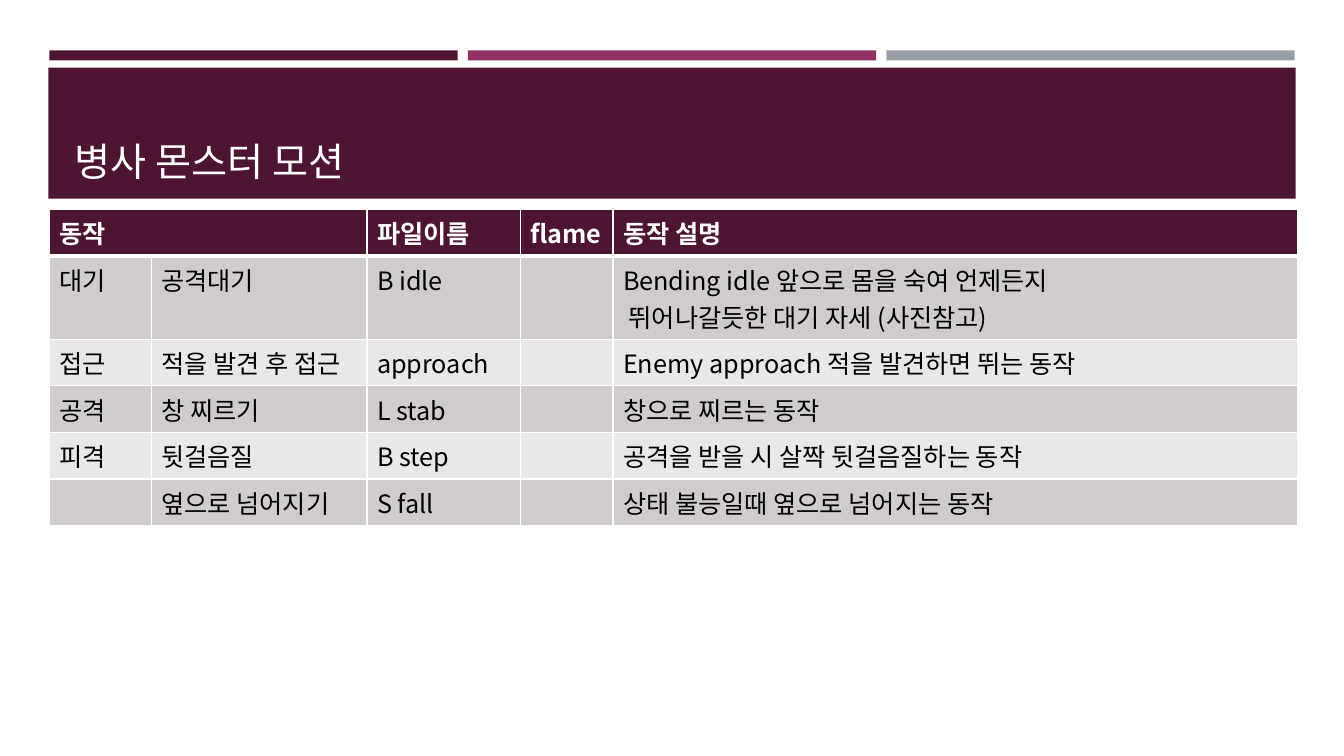
from lxml import etree
from pptx import Presentation
from pptx.dml.color import RGBColor
from pptx.enum import shapes, text
from pptx.oxml.ns import qn
from pptx.util import Inches, Pt

FONT = "Noto Sans CJK KR"
PLUM, MAGENTA, GRAY = "4D1434", "903163", "969FA7"
WHITE, BLACK = "FFFFFF", "000000"
BANDS = ["D0CCCE", "E9E7E8"]

COLUMN_WIDTHS = [1.01, 2.14, 1.52, 0.92, 6.79]
ROW_HEIGHTS = [0.46, 0.82, 0.46, 0.46, 0.46, 0.46]
MOTIONS = [
    ["동작", "", "파일이름", "flame", "동작 설명"],
    ["대기", "공격대기", "B idle", "",
     "Bending idle 앞으로 몸을 숙여 언제든지\n 뛰어나갈듯한 대기 자세 (사진참고)"],
    ["접근", "적을 발견 후 접근", "approach", "", "Enemy approach 적을 발견하면 뛰는 동작"],
    ["공격", "창 찌르기", "L stab", "", "창으로 찌르는 동작"],
    ["피격", "뒷걸음질", "B step", "", "공격을 받을 시 살짝 뒷걸음질하는 동작"],
    ["", "옆으로 넘어지기", "S fall", "", "상태 불능일때 옆으로 넘어지는 동작"],
]


def paint(color_format, color):
    color_format.rgb = RGBColor.from_string(color)


def add_run(p, words, size, color, bold=False):
    r = p.add_run()
    r.text = words
    r.font.size, r.font.bold, r.font.name = Pt(size), bold, FONT
    paint(r.font.color, color)
    etree.SubElement(r.font._element, qn("a:ea"), typeface=FONT)


def add_bar(s, left, top, width, height, color):
    sp = s.shapes.add_shape(shapes.MSO_SHAPE.RECTANGLE, Inches(left), Inches(top),
                            Inches(width), Inches(height))
    sp.shadow.inherit = False
    sp.fill.solid()
    paint(sp.fill.fore_color, color)
    sp.line.fill.background()


def add_stripes(s, left, top, width, height, gap=0.1):
    colors = [PLUM, MAGENTA, GRAY]
    bar = (width - gap * (len(colors) - 1)) / len(colors)
    for i, color in enumerate(colors):
        add_bar(s, left + i * (bar + gap), top, bar, height, color)


def add_title_band(s, left, top, width, height):
    add_bar(s, left, top, width, height, PLUM)
    title = s.shapes.title
    title.left, title.top = Inches(left + 0.16), Inches(top + 0.1)
    title.width, title.height = Inches(width - 0.31), Inches(height - 0.19)
    # Moving the title to the end of the tree keeps it in front of the band.
    s.shapes._spTree.append(title._element)
    tf = title.text_frame
    tf.word_wrap = True
    tf.vertical_anchor = text.MSO_ANCHOR.BOTTOM
    p = tf.paragraphs[0]
    p.alignment = text.PP_ALIGN.LEFT
    add_run(p, "병사 몬스터 모션", 28, WHITE)


def set_borders(cell, top, bottom):
    """Draw white borders; top and bottom are widths in points."""
    tcPr = cell._tc.get_or_add_tcPr()
    for side, width in zip("LRTB", (1, 1, top, bottom)):
        ln = etree.SubElement(tcPr, qn(f"a:ln{side}"), w=str(Pt(width)))
        fill = etree.SubElement(ln, qn("a:solidFill"))
        etree.SubElement(fill, qn("a:srgbClr"), val=WHITE)


def fill_cell(cell, words, row):
    header = row == 0
    set_borders(cell, 3 if row == 1 else 1, 3 if header else 1)
    cell.fill.solid()
    paint(cell.fill.fore_color, PLUM if header else BANDS[(row - 1) % 2])
    tf = cell.text_frame
    for i, line in enumerate(words.split("\n")):
        p = tf.add_paragraph() if i else tf.paragraphs[0]
        p.font.size = Pt(18)
        if line:
            add_run(p, line, 18, WHITE if header else BLACK, header)


def add_motion_table(s, left, top):
    table = s.shapes.add_table(
        len(MOTIONS), len(COLUMN_WIDTHS), Inches(left), Inches(top),
        Inches(sum(COLUMN_WIDTHS)), Inches(sum(ROW_HEIGHTS))).table
    for column, width in zip(table.columns, COLUMN_WIDTHS):
        column.width = Inches(width)
    for row, height in zip(table.rows, ROW_HEIGHTS):
        row.height = Inches(height)
    for i, motion in enumerate(MOTIONS):
        for j, words in enumerate(motion):
            fill_cell(table.cell(i, j), words, i)
    table.cell(0, 0).merge(table.cell(0, 1))


def main():
    prs = Presentation()
    prs.slide_width, prs.slide_height = Inches(13.33), Inches(7.5)
    s = prs.slides.add_slide(prs.slide_layouts[5])
    add_stripes(s, 0.49, 0.5, 12.35, 0.1)
    add_title_band(s, 0.48, 0.67, 12.37, 1.3)
    add_motion_table(s, 0.49, 2.08)
    prs.save("out.pptx")


if __name__ == "__main__":
    main()
